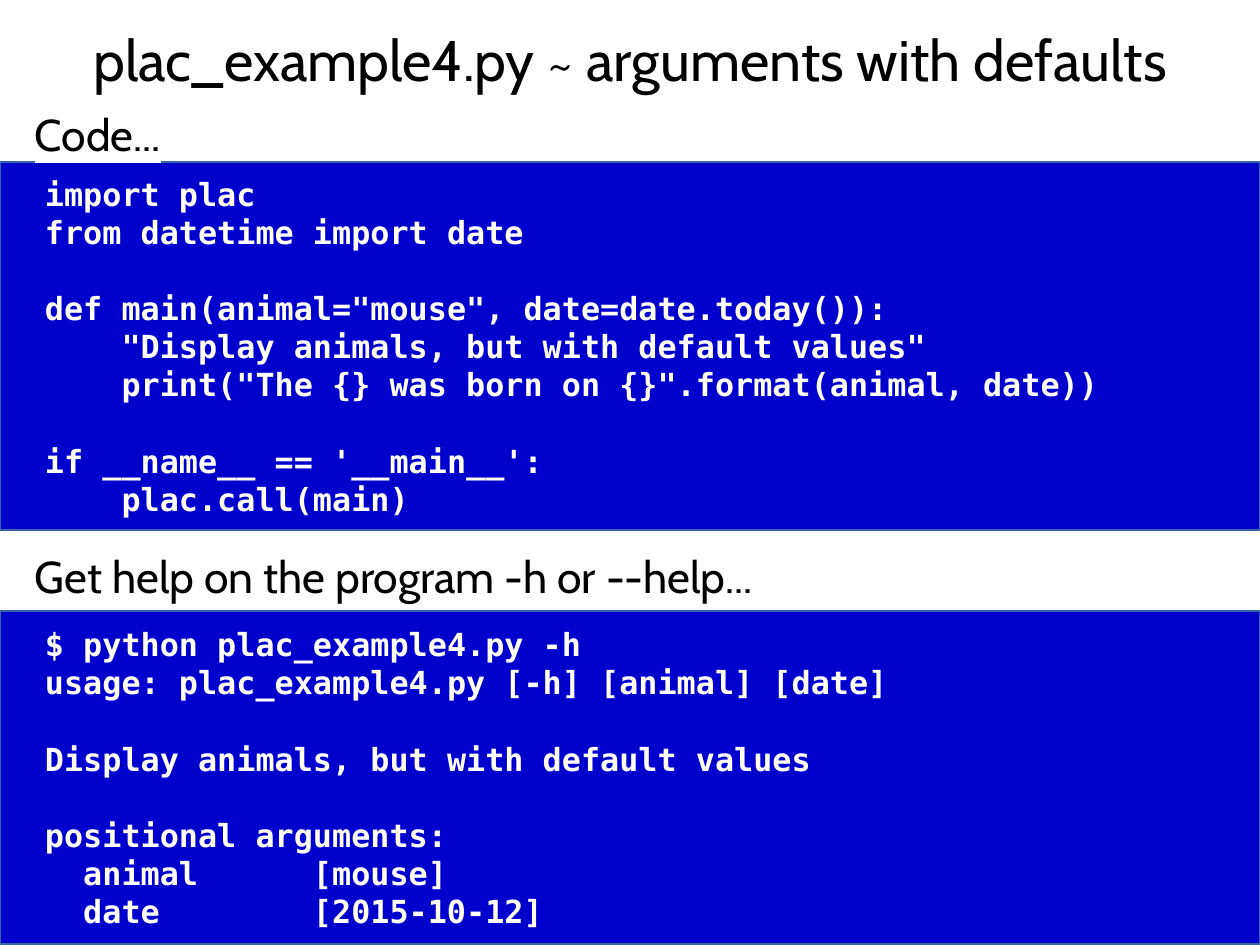
from lxml import etree
from pptx import Presentation
from pptx import util as u
from pptx.dml.color import RGBColor
from pptx.enum import shapes, text
from pptx.oxml import ns

PX = 8000  # EMU in one px
COLOURS = {"ink": "000000", "paper": "FFFFFF", "panel": "0000CC", "edge": "3465A4"}
TITLE = {"name": "Cabin", "size": u.Pt(36), "bold": False}
CAPTION = {"name": "Cabin", "size": u.Pt(28), "bold": False}
CODE = {"name": "DejaVu Sans Mono", "size": u.Pt(20), "bold": True}
CODE_LINE = u.Pt(24)
VALUE_COLUMN = 268

SCRIPT = """import plac
from datetime import date

def main(animal="mouse", date=date.today()):
    "Display animals, but with default values"
    print("The {} was born on {}".format(animal, date))

if __name__ == '__main__':
    plac.call(main)"""

HELP = """$ python plac_example4.py -h
usage: plac_example4.py [-h] [animal] [date]

Display animals, but with default values

positional arguments:
  animal\t[mouse]
  date\t[2015-10-12]"""


def px(*lengths):
    return [u.Emu(length * PX) for length in lengths]


def colour(name):
    return RGBColor.from_string(COLOURS[name])


def set_all(target, values):
    for name, value in values.items():
        setattr(target, name, value)


def set_frame(frame, anchor, insets=(0, 0, 0, 0)):
    left, top, right, bottom = px(*insets)
    set_all(frame, {
        "word_wrap": True, "auto_size": text.MSO_AUTO_SIZE.NONE,
        "vertical_anchor": anchor, "margin_left": left, "margin_top": top,
        "margin_right": right, "margin_bottom": bottom})


def add_span(para, words, style, ink):
    span = para.add_run()
    span.text = words
    set_all(span.font, style)
    span.font.color.rgb = colour(ink)
    return span


def highlight(span):
    fill = span.font.color and span.font._element.find(ns.qn("a:solidFill"))
    mark = etree.Element(ns.qn("a:highlight"))
    etree.SubElement(mark, ns.qn("a:srgbClr"), val=COLOURS["paper"])
    fill.addnext(mark)


def add_tab_stop(para, position):
    tabs = etree.SubElement(para._p.get_or_add_pPr(), ns.qn("a:tabLst"))
    etree.SubElement(tabs, ns.qn("a:tab"), pos=str(position * PX), algn="l")


def set_title(page, words):
    title = page.shapes.title
    left, top, width, height = px(63, 27, 1134, 63)
    set_all(title, {"left": left, "top": top, "width": width, "height": height})
    set_frame(title.text_frame, text.MSO_ANCHOR.MIDDLE)
    para = title.text_frame.paragraphs[0]
    para.alignment = text.PP_ALIGN.CENTER
    highlight(add_span(para, words, TITLE, "ink"))


def add_caption(page, top, words):
    box = page.shapes.add_textbox(*px(35, top, 1197, 62))
    set_frame(box.text_frame, text.MSO_ANCHOR.TOP)
    highlight(add_span(box.text_frame.paragraphs[0], words, CAPTION, "ink"))


def add_code_panel(page, top, height, code):
    panel = page.shapes.add_shape(
        shapes.MSO_SHAPE.RECTANGLE, *px(0, top, 1260, height))
    panel.shadow.inherit = False
    panel.fill.solid()
    panel.fill.fore_color.rgb = colour("panel")
    panel.line.color.rgb = colour("edge")
    panel.line.width = 0
    frame = panel.text_frame
    set_frame(frame, text.MSO_ANCHOR.MIDDLE, (45, 6, 11, 6))

    # An empty line of code becomes space before the next block
    for block_index, block in enumerate(code.split("\n\n")):
        for line_index, line in enumerate(block.split("\n")):
            first = block_index == line_index == 0
            para = frame.paragraphs[0] if first else frame.add_paragraph()
            if "\t" in line:
                add_tab_stop(para, VALUE_COLUMN)
            para.alignment = text.PP_ALIGN.LEFT
            if block_index and not line_index:
                para.space_before = CODE_LINE
            add_span(para, line, CODE, "paper")


def main():
    deck = Presentation()
    deck.slide_width, deck.slide_height = px(1260, 945)
    page = deck.slides.add_slide(deck.slide_layouts.get_by_name("Title Only"))

    # Heading
    set_title(page, "plac_example4.py ~ arguments with defaults")

    # Program: the caption overlaps the top edge of its panel
    add_code_panel(page, 162, 368, SCRIPT)
    add_caption(page, 107, "Code...")

    # Help output
    add_caption(page, 549, "Get help on the program -h or --help...")
    add_code_panel(page, 611, 333, HELP)

    deck.save("out.pptx")


if __name__ == "__main__":
    main()
